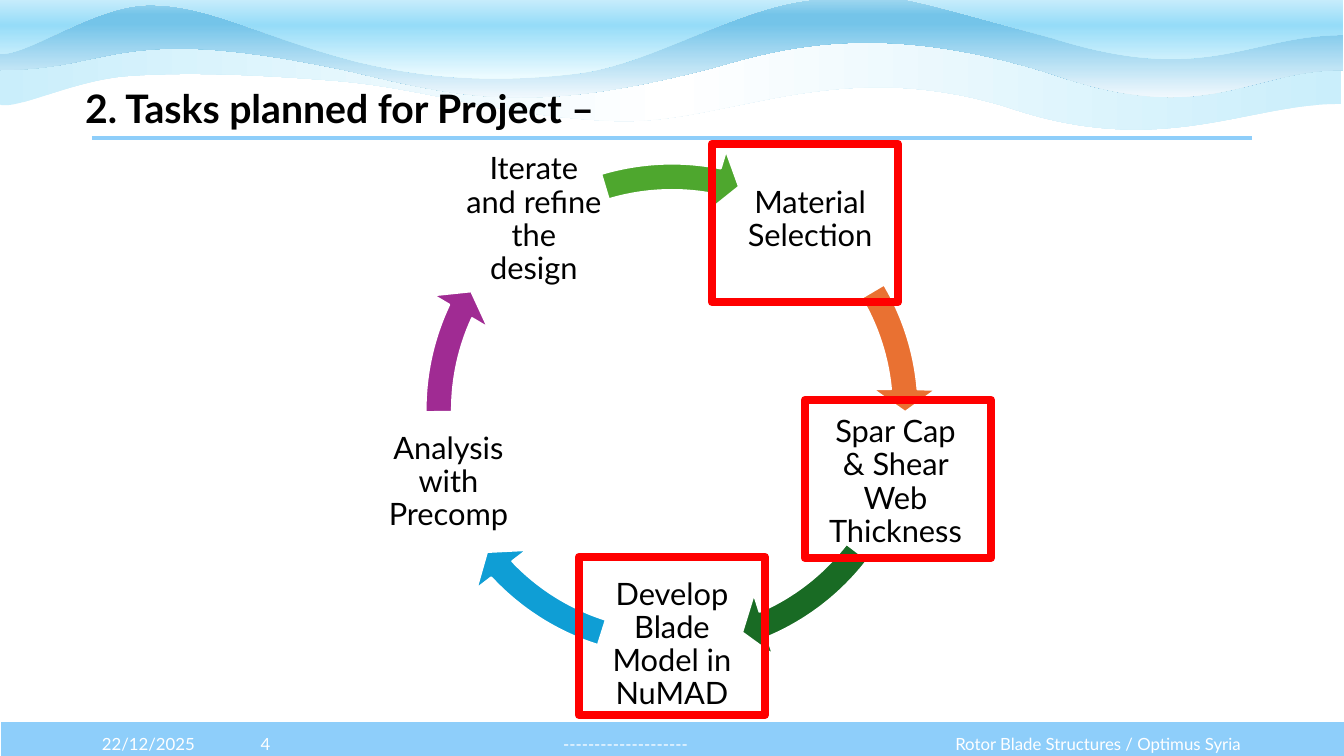
from math import cos, radians, sin

from lxml.etree import SubElement
from pptx import Presentation
from pptx.dml.color import RGBColor
from pptx.enum.shapes import MSO_CONNECTOR, MSO_SHAPE
from pptx.enum.text import MSO_ANCHOR as ANCHOR, MSO_AUTO_SIZE, PP_ALIGN as ALIGN
from pptx.oxml.ns import qn
from pptx.util import Pt

PX = 914400 / 100.8
FONT = "Lato"
BLACK = RGBColor(0x00, 0x00, 0x00)
WHITE = RGBColor(0xFF, 0xFF, 0xFF)
RED = RGBColor(0xFF, 0x00, 0x00)
SKY = RGBColor(0x8E, 0xCE, 0xFA)
ORANGE = RGBColor(0xE9, 0x71, 0x32)
DARK_GREEN = RGBColor(0x19, 0x6B, 0x24)
BLUE = RGBColor(0x0F, 0x9E, 0xD5)
PURPLE = RGBColor(0xA0, 0x2B, 0x93)
GREEN = RGBColor(0x4E, 0xA7, 0x2E)
ICE = RGBColor(0xCA, 0xEE, 0xFB)
MIST = RGBColor(0xF0, 0xF8, 0xFD)
POOL = RGBColor(0x74, 0xC4, 0xE9)
SHALLOW = RGBColor(0xA2, 0xD8, 0xF0)
FOAM = RGBColor(0xEF, 0xFC, 0xFF)
AQUA = RGBColor(0x96, 0xDC, 0xF8)

TITLE = "2. Tasks planned for Project –"
FOOTERS = [
    ("22/12/2025", 92, 123, ALIGN.LEFT),
    ("4", 214, 103, ALIGN.CENTER),
    ("--------------------", 317, 617, ALIGN.CENTER),
    ("Rotor Blade Structures / Optimus Syria", 933, 318, ALIGN.RIGHT),
]
# (label, arrow colour, arrow start degrees, arrow end degrees)
STEPS = [
    ("Material Selection", ORANGE, 329.4, 354.9),
    ("Spar Cap & Shear Web Thickness", DARK_GREEN, 37.5, 66.9),
    ("Develop Blade Model in NuMAD", BLUE, 107.5, 136.9),
    ("Analysis with Precomp", PURPLE, 179.5, 205),
    ("Iterate and refine the design", GREEN, 253.3, 281.1),
]
HIGHLIGHTS = [(579, 557), (712, 144), (805, 400)]
WAVES = [
    {"top": 30, "bottom": 129, "angle": 0, "stops": [(0, ICE), (50, WHITE), (100, ICE)],
     "start": (1341, 104),
     "curves": [((1247, 103), (1161, 160), (1007, 107)), ((834, 54), (727, 125), (615, 121)),
                ((503, 117), (424, 88), (338, 81)), ((251, 74), (184, 72), (128, 76)),
                ((72, 80), (14, 112), (-2, 104))]},
    {"top": -2, "bottom": 97, "angle": 270,
     "stops": [(0, SHALLOW), (17, POOL), (26, POOL), (100, MIST)],
     "start": (1343, 70),
     "curves": [((1249, 70), (1206, 128), (1052, 74)), ((878, 19), (779, 49), (712, 68)),
                ((532, 115), (463, 98), (349, 71)), ((114, 21), (116, 70), (0, 70))]},
    {"top": -28, "bottom": 79, "angle": 270, "stops": [(0, WHITE), (50, AQUA), (100, FOAM)],
     "start": (1343, 35),
     "curves": [((1249, 35), (1206, 87), (1052, 38)), ((879, -9), (898, -7), (820, -1)),
                ((741, 4), (658, 62), (581, 73)), ((502, 83), (427, 80), (350, 60)),
                ((260, 36), (209, 5), (151, 5)), ((93, 4), (22, 61), (-3, 53))]},
]
RING_X, RING_Y, RING_SIZE, LABEL_RADIUS, LABEL_SIZE = 672, 410, 530, 235, 142
HEAD_DEGREES, DEGREE = 5.6, 0.6


def px(*lengths):
    return [round(n * PX) for n in lengths]


def write(sp, text, size, color, align, bold=False, anchor=ANCHOR.MIDDLE, spacing=1.0):
    tf = sp.text_frame
    tf.word_wrap = True
    tf.vertical_anchor = anchor
    p = tf.paragraphs[0]
    p.alignment = align
    p.line_spacing = spacing
    r = p.add_run()
    r.text = text
    r.font.name = FONT
    r.font.size = Pt(size)
    r.font.bold = bold
    r.font.color.rgb = color
    return tf


def add_shape(s, kind, box, fill, line, width):
    sp = s.shapes.add_shape(kind, *px(*box))
    sp.shadow.inherit = False
    if fill is None:
        sp.fill.background()
    else:
        sp.fill.solid()
        sp.fill.fore_color.rgb = fill
    sp.line.color.rgb = line
    sp.line.width = Pt(width)
    return sp


def bend(sp, wave, left):
    outline = sp.element.spPr.find(".//" + qn("a:path"))
    height = wave["bottom"] - wave["top"]
    outline.set("h", str(height))
    sp.height = px(height)[0]
    for segment, curve in zip(outline.findall(qn("a:lnTo")), wave["curves"]):
        segment.clear()
        cubic = SubElement(outline, qn("a:cubicBezTo"))
        for x, y in curve:
            SubElement(cubic, qn("a:pt"), x=str(x - left), y=str(y - wave["top"]))
        outline.replace(segment, cubic)


def add_wave(s, wave):
    start, end, top = wave["start"], wave["curves"][-1][-1], wave["top"]
    corners = [curve[-1] for curve in wave["curves"]] + [(end[0], top), (start[0], top)]
    builder = s.shapes.build_freeform(*start, scale=PX)
    builder.add_line_segments(corners, close=True)
    sp = builder.convert_to_shape()
    bend(sp, wave, end[0])
    sp.shadow.inherit = False
    sp.line.fill.background()
    sp.fill.gradient()
    sp.fill.gradient_angle = wave["angle"]
    stops = sp.element.spPr.find(".//" + qn("a:gsLst"))
    for stop in list(stops):
        stops.remove(stop)
    for position, color in wave["stops"]:
        stop = SubElement(stops, qn("a:gs"), pos=str(position * 1000))
        SubElement(stop, qn("a:srgbClr"), val=str(color))


def add_step(s, index, label, color, start, end):
    angle = radians(72 * index - 54)
    left = RING_X + LABEL_RADIUS * cos(angle) - LABEL_SIZE / 2
    top = RING_Y + LABEL_RADIUS * sin(angle) - LABEL_SIZE / 2
    sp = s.shapes.add_textbox(*px(left, top, LABEL_SIZE, LABEL_SIZE))
    tf = write(sp, label, 22, BLACK, ALIGN.CENTER, spacing=0.9)
    tf.margin_left = tf.margin_right = tf.margin_top = tf.margin_bottom = px(3)[0]
    half = RING_SIZE / 2
    box = (RING_X - half, RING_Y - half, RING_SIZE, RING_SIZE)
    arrow = add_shape(s, MSO_SHAPE.CIRCULAR_ARROW, box, color, WHITE, 1.5)
    values = (0.05, HEAD_DEGREES * DEGREE, end * DEGREE, start * DEGREE, 0.06)
    for i, value in enumerate(values):
        arrow.adjustments[i] = value


def main():
    """Build the slide with the five-step blade design cycle."""
    prs = Presentation()
    prs.slide_width, prs.slide_height = px(1344, 756)
    s = prs.slides.add_slide(prs.slide_layouts[5])
    add_shape(s, MSO_SHAPE.RECTANGLE, (0, 721, 1346, 40), SKY, WHITE, 1.5)
    for wave in WAVES:
        add_wave(s, wave)
    rule = s.shapes.add_connector(MSO_CONNECTOR.STRAIGHT, *px(92, 138, 1252, 138))
    rule.line.color.rgb = SKY
    rule.line.width = Pt(3)
    SubElement(rule.element.spPr, qn("a:effectLst"))
    for text, left, width, align in FOOTERS:
        sp = s.shapes.add_textbox(*px(left, 724, width, 40))
        write(sp, text, 12, WHITE, align)
    title = s.shapes.title
    title.left, title.top, title.width, title.height = px(75, 79, 765, 57)
    tf = write(title, TITLE, 28, BLACK, ALIGN.LEFT, bold=True, anchor=ANCHOR.TOP)
    tf.auto_size = MSO_AUTO_SIZE.SHAPE_TO_FIT_TEXT
    title.element.getparent().append(title.element)
    for index, step in enumerate(STEPS):
        add_step(s, index, *step)
    for left, top in HIGHLIGHTS:
        add_shape(s, MSO_SHAPE.RECTANGLE, (left, top, 186, 158), None, RED, 6)
    prs.save("out.pptx")


if __name__ == "__main__":
    main()
